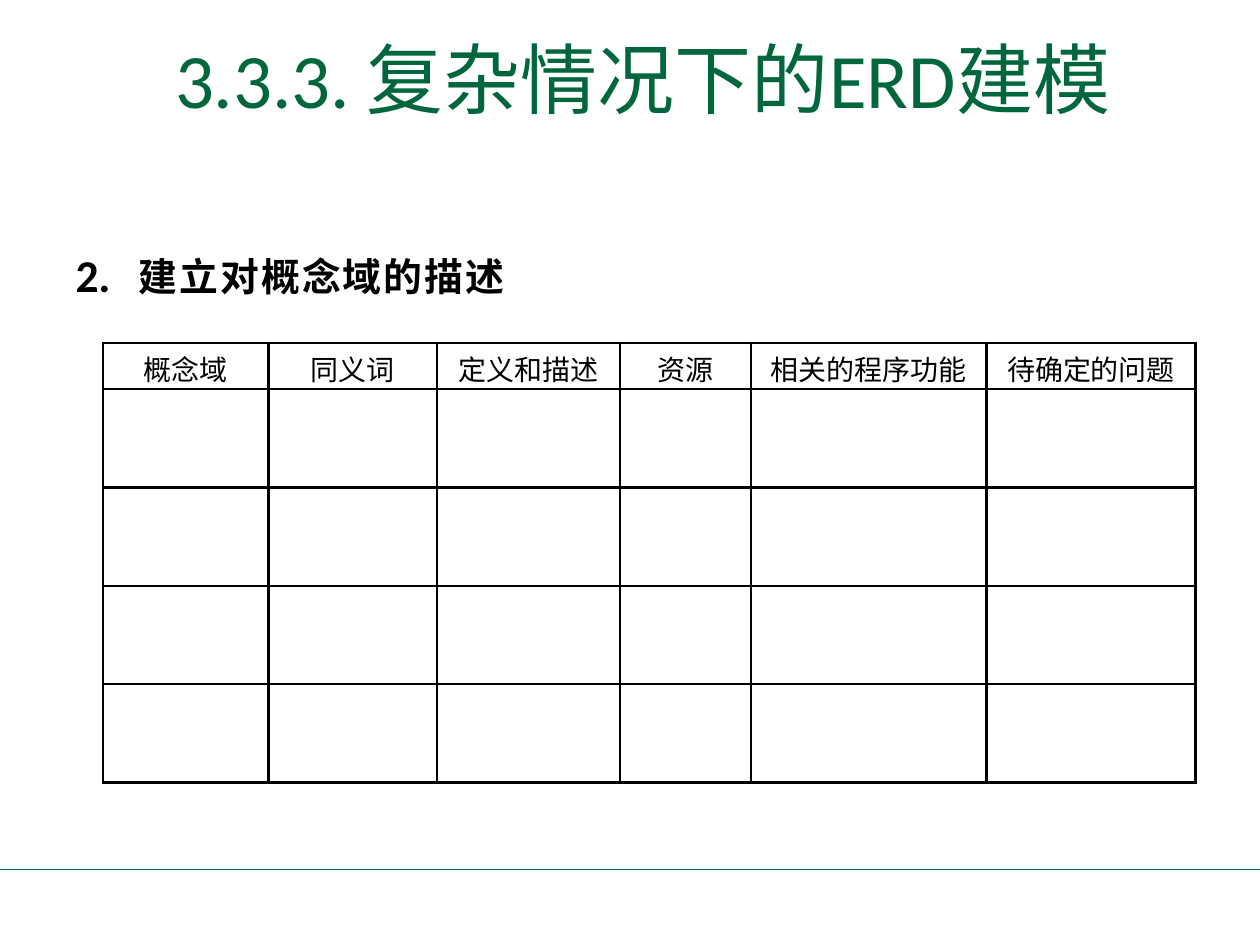
from lxml.etree import SubElement
from pptx import Presentation
from pptx.dml.color import RGBColor
from pptx.enum.shapes import MSO_CONNECTOR
from pptx.enum.text import MSO_ANCHOR, PP_ALIGN
from pptx.oxml.ns import qn
from pptx.util import Inches, Pt

COLORS = {"green": "00663C", "black": "000000"}
LATIN, CJK = "Calibri", "Noto Sans CJK SC"

# text, font, extra run attributes
TITLE = [
    ("3.3.3. ", LATIN, {"spc": "-10"}),
    ("复杂情况下的", CJK, {}),
    ("ERD", LATIN, {}),
    ("建模", CJK, {}),
]
# text, font, size, extra run attributes
HEADING = [
    ("2.\t", LATIN, 26, {"spc": "-10"}),
    ("建立对概念域的描述", CJK, 38.2, {"spc": "130", "baseline": "1000"}),
]
# header, column width
COLUMNS = [
    ("概念域", 1.31), ("同义词", 1.34), ("定义和描述", 1.45),
    ("资源", 1.04), ("相关的程序功能", 1.87), ("待确定的问题", 1.66),
]
HEADER_HEIGHT, ROW_HEIGHT, EMPTY_ROWS = 0.37, 0.78, 4


def rgb(name):
    return RGBColor.from_string(COLORS[name])


def add_run(p, text, font, size, color, bold=False, attrs=None):
    r = p.add_run()
    r.text = text
    r.font.name, r.font.size, r.font.bold = font, Pt(size), bold
    r.font.color.rgb = rgb(color)
    rPr = r.font._element
    SubElement(rPr, qn("a:ea"), typeface=font)
    for key, value in (attrs or {}).items():
        rPr.set(key, value)


def add_text_box(s, left, top, width, height):
    """Add a tight wrapping text box and return its first paragraph."""
    tf = s.shapes.add_textbox(*map(Inches, (left, top, width, height))).text_frame
    tf.word_wrap = True
    tf.vertical_anchor = MSO_ANCHOR.TOP
    tf.margin_left = tf.margin_right = tf.margin_bottom = 0
    tf.margin_top = Inches(0.01)
    p = tf.paragraphs[0]
    pPr = p._p.get_or_add_pPr()
    pPr.set("marL", str(Inches(0.01)))
    pPr.set("indent", "0")
    return p


def add_borders(cell):
    tcPr = cell._tc.get_or_add_tcPr()
    for i, side in enumerate(("a:lnL", "a:lnR", "a:lnT", "a:lnB")):
        ln = SubElement(tcPr, qn(side), w=str(Pt(1.5)))
        fill = SubElement(ln, qn("a:solidFill"))
        SubElement(fill, qn("a:srgbClr"), val=COLORS["black"])
        tcPr.insert(i, ln)


def add_concept_table(s):
    total_width = sum(width for _, width in COLUMNS)
    total_height = HEADER_HEIGHT + EMPTY_ROWS * ROW_HEIGHT
    table = s.shapes.add_table(
        EMPTY_ROWS + 1, len(COLUMNS), Inches(0.82), Inches(2.72),
        Inches(total_width), Inches(total_height)).table
    table.first_row = table.horz_banding = False
    for i, row in enumerate(table.rows):
        row.height = Inches(ROW_HEIGHT if i else HEADER_HEIGHT)
    for col, (_, width) in zip(table.columns, COLUMNS):
        col.width = Inches(width)
    for cell in table.iter_cells():
        cell.fill.background()
        cell.margin_left = cell.margin_right = cell.margin_bottom = 0
        cell.margin_top = Inches(0.04)
        add_borders(cell)
    for i, (header, _) in enumerate(COLUMNS):
        p = table.cell(0, i).text_frame.paragraphs[0]
        p.alignment = PP_ALIGN.CENTER
        add_run(p, header, CJK, 16, "black")


def main():
    prs = Presentation()
    prs.slide_width, prs.slide_height = Inches(10), Inches(7.5)
    s = prs.slides.add_slide(prs.slide_layouts[6])

    rule = s.shapes.add_connector(
        MSO_CONNECTOR.STRAIGHT, 0, Inches(6.9), Inches(10), Inches(6.9))
    rule.line.color.rgb = rgb("green")
    rule.line.width = Pt(1)
    SubElement(rule._element.spPr, qn("a:effectLst"))

    p = add_text_box(s, 1.38, 0.24, 7.45, 0.76)
    for text, font, attrs in TITLE:
        add_run(p, text, font, 44, "green", attrs=attrs)

    p = add_text_box(s, 0.59, 1.78, 3.88, 0.45)
    tabs = SubElement(p._p.get_or_add_pPr(), qn("a:tabLst"))
    SubElement(tabs, qn("a:tab"), pos=str(Inches(0.55)), algn="l")
    for text, font, size, attrs in HEADING:
        add_run(p, text, font, size, "black", bold=True, attrs=attrs)

    add_concept_table(s)
    prs.save("out.pptx")


if __name__ == "__main__":
    main()
